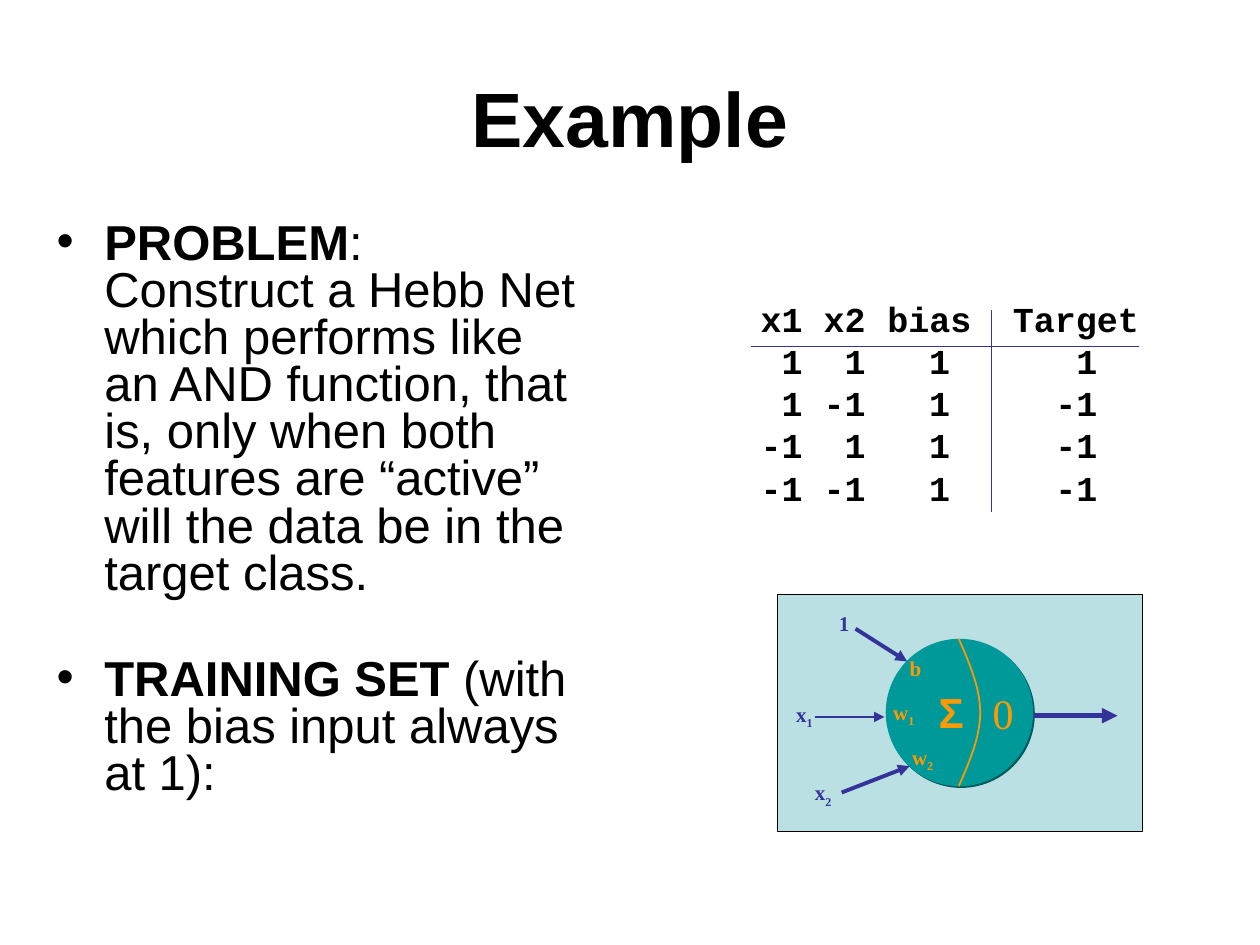
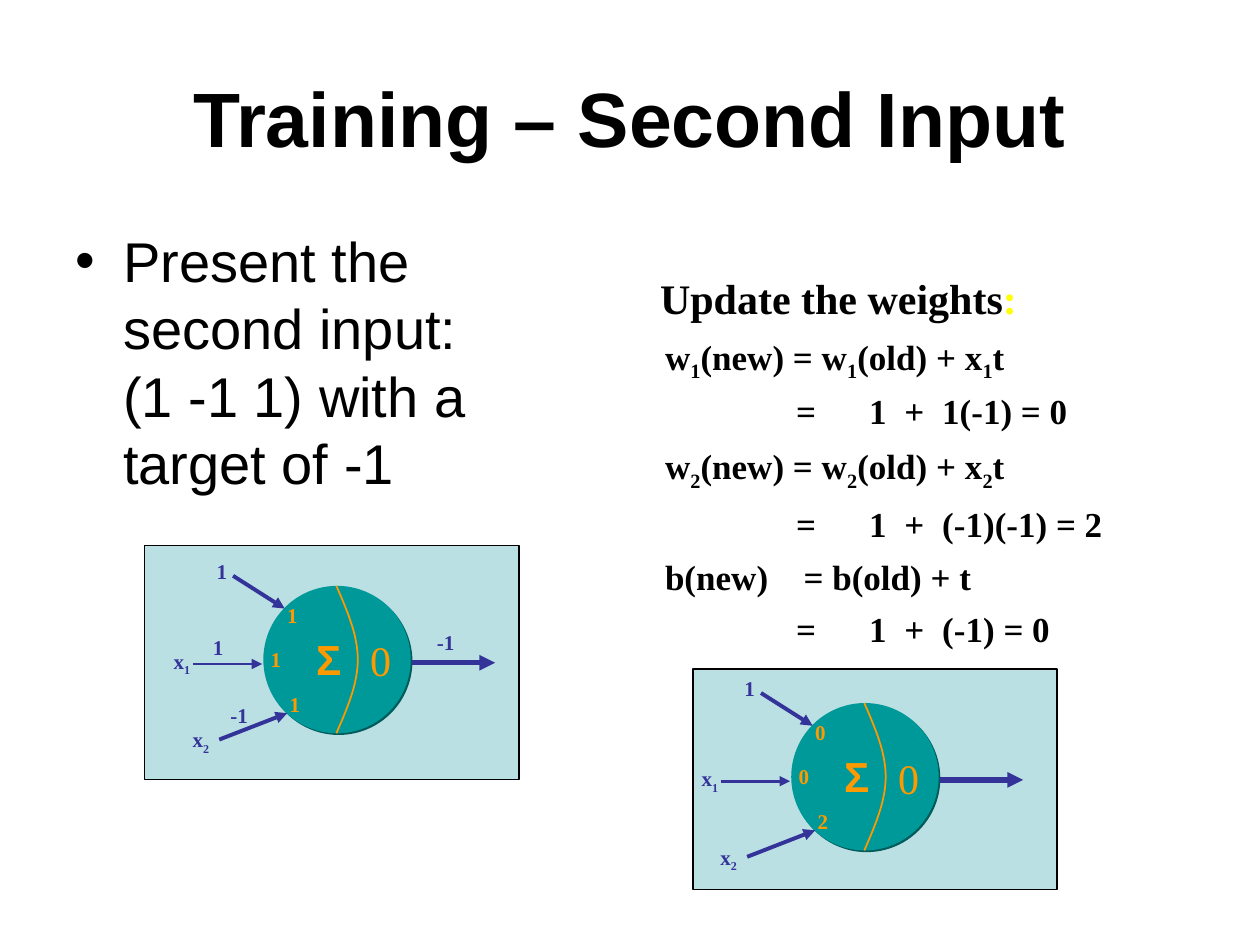
"""Build two slides on training a Hebb net for the AND function."""
from lxml import etree
from pptx import Presentation, util as u
from pptx.dml.color import RGBColor
from pptx.enum import shapes as sh, text as tx
from pptx.oxml.ns import qn

THEME = dict(
    ink="000000", panel="BBE0E3", cell="009999", shade="005B5B", wire="333399",
    mark="FF9900", glow="FFFF00", sans="Arial", serif="Times New Roman",
    mono="Courier New", title=44, lead=32, body=28, sign=24, text=20, tag=12)

SIZE = (10, 7.5)
TITLE = (0.5, 0.3, 9, 1.25)
SLIDES = [
    dict(
        title="Example", box=(0.35, 1.72, 4.35, 4.95), size="body", tight=0.8,
        points=[
            (7, [("PROBLEM", True), (":\nConstruct a Hebb Net which performs like an AND "
                 "function, that is, only when both features are “active” will the data "
                 "be in the target class.", False)]),
            (34, [("TRAINING SET", True), (" (with the bias input always at 1):", False)])],
        table=[("x1", "x2", "bias", "Target"), (1, 1, 1, 1), (1, -1, 1, -1),
               (-1, 1, 1, -1), (-1, -1, 1, -1)],
        nets=[dict(panel=(6.17, 4.72, 2.9, 1.88), at=(7.03, 5.07),
                   weights=("b", "w_1", "w_2"))]),
    dict(
        title="Training – Second Input", box=(0.5, 1.75, 3.74, 4.95), size="lead", tight=None,
        points=[(8, [("Present the second input:\n(1 -1 1) with a target of -1", False)])],
        sums=[
            (2.61, "w_1(new) = w_1(old) + x_1t"),
            (3.04, "\t=\t1\t+\t1(-1) = 0"),
            (3.48, "w_2(new) = w_2(old) + x_2t"),
            (3.94, "\t=\t1\t+\t(-1)(-1) = 2"),
            (4.36, "b(new)\t= b(old) + t"),
            (4.77, "\t=\t1\t+\t(-1) = 0")],
        nets=[dict(panel=(5.5, 5.31, 2.89, 1.75), at=(6.28, 5.58), weights="002"),
              dict(panel=(1.15, 4.33, 2.97, 1.86), at=(2.09, 4.65), weights="111",
                   values=("1", "-1", "-1"))]),
]

DISC = 1.17
INPUTS = [("1", -0.47, -0.27), ("x_1", -0.81, 0.45), ("x_2", -0.66, 1.07)]
WEIGHTS = [(0.09, 0.08), (-0.04, 0.43), (0.11, 0.79)]
VALUES = [(-0.5, 0.34), (-0.36, 0.88), (1.28, 0.3)]
WIRES = [((1.18, 0.61), (1.84, 0.61), 3), ((-0.24, -0.08), (0.17, 0.18), 2.25),
         ((-0.35, 1.22), (0.19, 1.01), 2.25), ((-0.56, 0.62), (-0.01, 0.62), 1.5)]
WIDTH = {"b": 0.29, "w_1": 0.37, "w_2": 0.37, "x_1": 0.33, "x_2": 0.33, "-1": 0.34}
COLS = [(0.41, 0), (0.5, 0), (0.84, 0.17), (1.33, 0.33)]
STOPS = {"\t": (1.04, 1.62, 1.9, 2.2), "b": (1.1,)}


def inch(vals):
    return [u.Inches(v) for v in vals]


def rgb(name):
    return RGBColor.from_string(THEME[name])


def add(node, tag, **attrs):
    return etree.SubElement(node, qn(tag), {k: str(v) for k, v in attrs.items()})


def put(obj, vals):
    for key, val in vals.items():
        setattr(obj, key, val)


def style(par, words, size, face, color="ink", bold=True):
    for i, line in enumerate(words.split("\n")):
        if i:
            par.add_line_break()
        head, *rest = line.split("_")
        for part, low in [(head, 0)] + [x for r in rest for x in ((r[0], 1), (r[1:], 0))]:
            if part:
                run = par.add_run()
                run.text = part
                put(run.font, dict(size=u.Pt(THEME[size]), name=THEME[face], bold=bold))
                run.font.color.rgb = rgb(color)
                if low:
                    run.font._element.set("baseline", "-25000")


def frame(pen, box, wrap=True, **vals):
    area = pen.add_textbox(*inch(box)).text_frame
    put(area, dict(word_wrap=wrap, **vals))
    return area


def label(pen, box, words, *look, **more):
    par = frame(pen, box, False).paragraphs[0]
    style(par, words, *look, **more)
    return par


def line(pen, start, end, width, arrow=False):
    link = pen.add_connector(sh.MSO_CONNECTOR.STRAIGHT, *inch(start + end))
    link.line.color.rgb = rgb("wire")
    link.line.width = u.Pt(width)
    if arrow:
        add(link.line._get_or_add_ln(), "a:tailEnd", type="triangle")
    add(link._element.spPr, "a:effectLst")


def shape(pen, kind, box, fill):
    item = pen.add_shape(kind, *inch(box))
    item.shadow.inherit = False
    item.fill.solid()
    item.fill.fore_color.rgb = rgb(fill)
    item.line.fill.background()
    return item


def arc(pen, x, y, steps=32):
    pts = []
    for i in range(steps + 1):
        t = 1 - abs(2 * i / steps - 1)
        pts.append(inch((x + 0.17 * (1.5 * t - 0.5 * t ** 3), y + DISC * i / steps)))
    form = pen.build_freeform(*pts[0])
    form.add_line_segments(pts[1:], close=False)
    curve = form.convert_to_shape()
    curve.shadow.inherit = False
    curve.fill.background()
    curve.line.color.rgb = rgb("mark")
    curve.line.width = u.Pt(1)


def neuron(slide, panel, at, weights, values=()):
    back = shape(slide.shapes, sh.MSO_SHAPE.RECTANGLE, panel, "panel")
    back.line.color.rgb = rgb("ink")
    back.line.width = u.Pt(0.75)
    pen = slide.shapes.add_group_shape().shapes
    x, y = at
    disc = shape(pen, sh.MSO_SHAPE.OVAL, (x, y, DISC, DISC), "cell")
    cast = add(disc._element.spPr.find(qn("a:effectLst")), "a:outerShdw",
               dist=u.Pt(1.4), dir=45 * 60000, algn="ctr", rotWithShape=0)
    add(cast, "a:srgbClr", val=THEME["shade"])
    arc(pen, x + 0.58, y)
    label(pen, (x + 0.75, y + 0.34, 0.36, 0.5), "0", "sign", "serif", "mark", bold=False)
    label(pen, (x + 0.32, y + 0.33, 0.39, 0.5), "Σ", "sign", "sans", "mark")
    for (a, b), (c, d), width in WIRES:
        line(pen, (x + a, y + b), (x + c, y + d), width, True)
    tags = [(w, a, b, "wire") for w, a, b in INPUTS]
    tags += [(w, a, b, "mark") for w, (a, b) in zip(weights, WEIGHTS)]
    tags += [(w, a, b, "wire") for w, (a, b) in zip(values, VALUES)]
    for words, a, b, color in tags:
        box = (x + a, y + b, WIDTH.get(words, 0.28), 0.33 if "_" in words else 0.3)
        label(pen, box, words, "tag", "serif", color)


def truth(slide, rows):
    left, top, high = 5.96, 2.4, 1 / 3
    wide = sum(w for w, _ in COLS)
    item = slide.shapes.add_table(len(rows), len(COLS),
                                  *inch((left, top, wide, high * len(rows))))
    grid = item.table
    put(grid, dict(first_row=False, horz_banding=False))
    for col, (width, _) in zip(grid.columns, COLS):
        col.width = u.Inches(width)
    for r, row in enumerate(rows):
        grid.rows[r].height = u.Inches(high)
        for c, val in enumerate(row):
            cell = grid.cell(r, c)
            put(cell, dict(margin_left=0, margin_top=0, margin_bottom=0,
                           margin_right=u.Inches(COLS[c][1] if r else 0),
                           vertical_anchor=tx.MSO_ANCHOR.MIDDLE))
            cell.fill.background()
            par = cell.text_frame.paragraphs[0]
            par.alignment = tx.PP_ALIGN.RIGHT
            style(par, str(val), "text", "mono")
    line(slide.shapes, (left, 2.75), (left + wide, 2.75), 1)
    line(slide.shapes, (7.87, 2.46), (7.87, 4.06), 1)


def sums(slide, rows):
    par = label(slide.shapes, (5.14, 2.11, 3.03, 0.5), "Update the weights", "sign", "serif")
    style(par, ":", "sign", "serif", "glow")
    for top, words in rows:
        par = frame(slide.shapes, (5.18, top, 3.73, 0.44)).paragraphs[0]
        style(par, words, "text", "serif")
        if "\t" in words:
            tabs = add(par._p.get_or_add_pPr(), "a:tabLst")
            for stop in STOPS[words[0]]:
                add(tabs, "a:tab", pos=u.Inches(stop), algn="l")


def points(slide, box, items, size, tight):
    area = frame(slide.shapes, box)
    for i, (gap, runs) in enumerate(items):
        par = area.add_paragraph() if i else area.paragraphs[0]
        put(par, dict(space_before=u.Pt(gap), line_spacing=tight))
        props = par._p.get_or_add_pPr()
        props.set("marL", str(u.Inches(0.38)))
        props.set("indent", str(-u.Inches(0.38)))
        add(props, "a:buFont", typeface=THEME["sans"])
        add(props, "a:buChar", char="•")
        for words, bold in runs:
            style(par, words, size, "sans", bold=bold)


def main():
    deck = Presentation()
    deck.slide_width, deck.slide_height = inch(SIZE)
    for data in SLIDES:
        slide = deck.slides.add_slide(deck.slide_layouts[6])
        par = frame(slide.shapes, TITLE, vertical_anchor=tx.MSO_ANCHOR.MIDDLE).paragraphs[0]
        par.alignment = tx.PP_ALIGN.CENTER
        style(par, data["title"], "title", "sans")
        points(slide, data["box"], data["points"], data["size"], data["tight"])
        for net in data["nets"]:
            neuron(slide, **net)
        if "table" in data:
            truth(slide, data["table"])
        if "sums" in data:
            sums(slide, data["sums"])
    deck.save("out.pptx")


if __name__ == "__main__":
    main()
